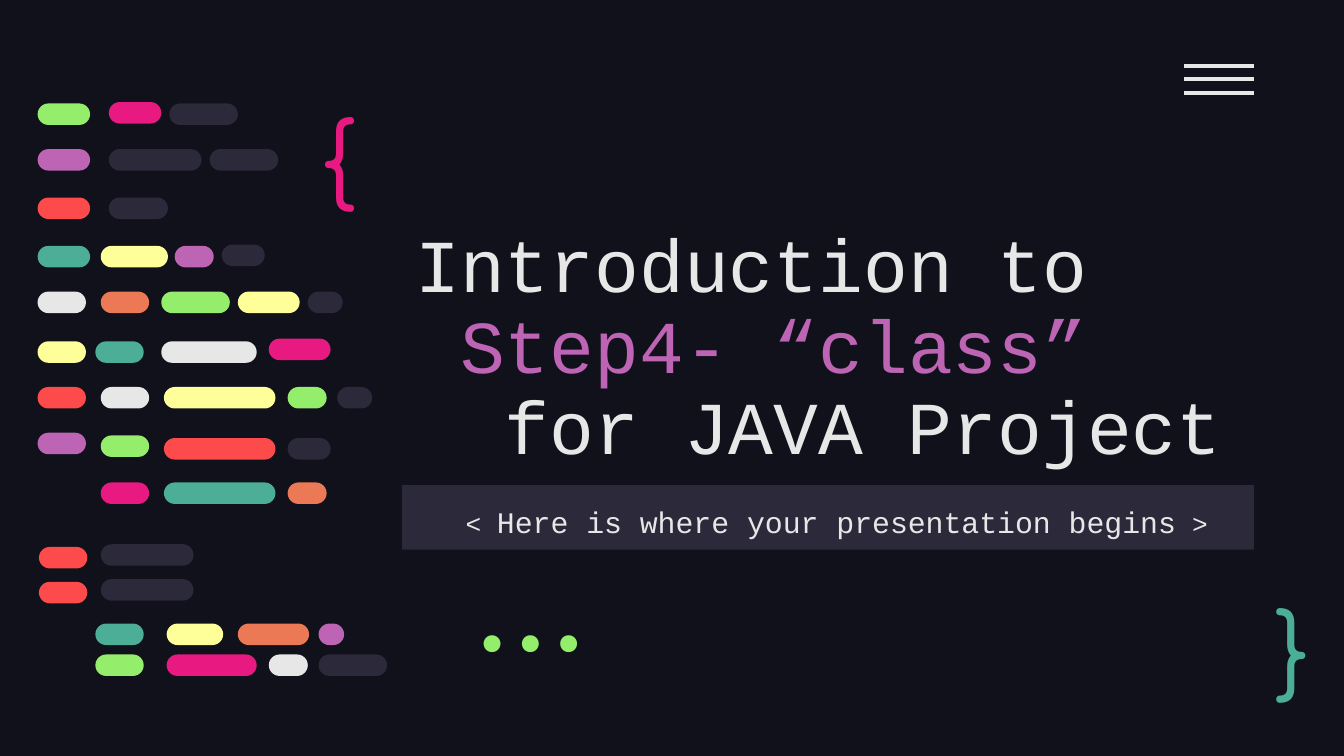
from lxml.etree import SubElement
from pptx import Presentation
from pptx.dml.color import RGBColor
from pptx.enum.shapes import MSO_CONNECTOR, MSO_SHAPE
from pptx.enum.text import MSO_ANCHOR, MSO_AUTO_SIZE, PP_ALIGN
from pptx.oxml.ns import qn
from pptx.util import Inches, Pt

BACKGROUND, SLATE, LIGHT = "10111A", "2C293A", "E7E7E7"
GREEN, PINK, PURPLE, RED = "94EE6B", "E81A81", "BD64B5", "FD4A4A"
TEAL, YELLOW, ORANGE = "4CAE97", "FFFF99", "EC7955"
MONO = "Courier New"
PILL_HEIGHT = 0.16

CODE_PILLS = [
    (0, 0.01, 0.39, GREEN), (0.53, 0, 0.39, PINK), (0.98, 0.01, 0.51, SLATE),
    (0, 0.35, 0.39, PURPLE), (0.53, 0.35, 0.69, SLATE), (1.28, 0.35, 0.51, SLATE),
    (0, 0.71, 0.39, RED), (0.53, 0.71, 0.44, SLATE),
    (0, 1.07, 0.39, TEAL), (0.47, 1.07, 0.5, YELLOW), (1.02, 1.07, 0.29, PURPLE),
    (1.37, 1.06, 0.32, SLATE),
    (0, 1.41, 0.36, LIGHT), (0.47, 1.41, 0.36, ORANGE), (0.92, 1.41, 0.51, GREEN),
    (1.49, 1.41, 0.46, YELLOW), (2.01, 1.41, 0.26, SLATE),
    (0, 1.78, 0.36, YELLOW), (0.43, 1.78, 0.36, TEAL), (0.92, 1.78, 0.71, LIGHT),
    (1.72, 1.76, 0.46, PINK),
    (0, 2.12, 0.36, RED), (0.47, 2.12, 0.36, LIGHT), (0.94, 2.12, 0.83, YELLOW),
    (1.86, 2.12, 0.29, GREEN), (2.23, 2.12, 0.26, SLATE),
    (0, 2.46, 0.36, PURPLE), (0.47, 2.48, 0.36, GREEN), (0.94, 2.5, 0.83, RED),
    (1.86, 2.5, 0.32, SLATE),
    (0.47, 2.83, 0.36, PINK), (0.94, 2.83, 0.83, TEAL), (1.86, 2.83, 0.29, ORANGE),
    (0.01, 3.31, 0.36, RED), (0.47, 3.29, 0.69, SLATE),
    (0.01, 3.57, 0.36, RED), (0.47, 3.55, 0.69, SLATE),
    (0.43, 3.88, 0.36, TEAL), (0.96, 3.88, 0.42, YELLOW), (1.49, 3.88, 0.53, ORANGE),
    (2.09, 3.88, 0.19, PURPLE),
    (0.43, 4.11, 0.36, GREEN), (0.96, 4.11, 0.67, PINK), (1.72, 4.11, 0.29, LIGHT),
    (2.09, 4.11, 0.51, SLATE),
]


def color(value):
    """Turn a hex string into a colour."""
    return RGBColor.from_string(value)


def place(shape, left, top, width, height):
    """Move and size a shape, in inches."""
    shape.left, shape.top = Inches(left), Inches(top)
    shape.width, shape.height = Inches(width), Inches(height)


def set_frame(frame, anchor, left=0.1, bottom=0.1):
    """Set wrapping, anchor and insets of a text frame."""
    frame.word_wrap = True
    frame.auto_size = MSO_AUTO_SIZE.NONE
    frame.vertical_anchor = anchor
    frame.margin_left, frame.margin_bottom = Inches(left), Inches(bottom)
    frame.margin_right = frame.margin_top = Inches(0.1)


def add_run(paragraph, text, size, font, fill):
    """Append a formatted run to a paragraph."""
    run = paragraph.add_run()
    run.text = text
    run.font.size, run.font.name = Pt(size), font
    run.font.color.rgb = color(fill)


def fill_title(title, left, top, width, height):
    """Place the title and write its three stepped lines."""
    place(title, left, top, width, height)
    frame = title.text_frame
    set_frame(frame, MSO_ANCHOR.BOTTOM, bottom=0.71)
    lines = [("Introduction to", LIGHT), ("Step4- “class”", PURPLE),
             ("for JAVA Project", LIGHT)]
    for step, (text, fill) in enumerate(lines):
        paragraph = frame.add_paragraph() if step else frame.paragraphs[0]
        paragraph.alignment = PP_ALIGN.LEFT
        paragraph.line_spacing = 0.9
        paragraph.space_before = Pt(0)
        properties = paragraph._p.get_or_add_pPr()
        properties.set("marL", str(Pt(24 * step)))
        properties.set("indent", "0")
        add_run(paragraph, text, 40, MONO, fill)


def fill_subtitle(subtitle, left, top, width, height):
    """Place the subtitle bar and write its bracketed line."""
    place(subtitle, left, top, width, height)
    subtitle.fill.solid()
    subtitle.fill.fore_color.rgb = color(SLATE)
    set_frame(subtitle.text_frame, MSO_ANCHOR.TOP, left=0.23)
    paragraph = subtitle.text_frame.paragraphs[0]
    paragraph.alignment = PP_ALIGN.CENTER
    paragraph.line_spacing = 1.15
    paragraph.space_before = Pt(0)
    add_run(paragraph, "< ", 14, MONO, LIGHT)
    add_run(paragraph, "Here is where your presentation begins", 16, MONO, LIGHT)
    add_run(paragraph, " >", 14, MONO, LIGHT)


def add_symbol(slide, box, text, font, fill, anchor, alignment=PP_ALIGN.LEFT):
    """Add one large code symbol in a text box."""
    textbox = slide.shapes.add_textbox(*map(Inches, box))
    set_frame(textbox.text_frame, anchor)
    paragraph = textbox.text_frame.paragraphs[0]
    paragraph.alignment = alignment
    add_run(paragraph, text, 50, font, fill)


def add_menu(slide, left, top, width, height):
    """Add the three evenly spaced menu lines as a group."""
    group = slide.shapes.add_group_shape()
    for index in range(3):
        y = Inches(top + index * height / 2)
        line = group.shapes.add_connector(
            MSO_CONNECTOR.STRAIGHT, Inches(left), y, Inches(left + width), y)
        line.line.color.rgb = color(LIGHT)
        line.line.width = Pt(2.25)
        SubElement(line._element.spPr, qn("a:effectLst"))


def add_code(slide, left, top):
    """Add the coloured pills that stand for lines of code."""
    group = slide.shapes.add_group_shape()
    for x, y, width, fill in CODE_PILLS:
        pill = group.shapes.add_shape(
            MSO_SHAPE.ROUNDED_RECTANGLE, Inches(left + x), Inches(top + y),
            Inches(width), Inches(PILL_HEIGHT))
        pill.adjustments[0] = 0.5
        pill.shadow.inherit = False
        pill.fill.solid()
        pill.fill.fore_color.rgb = color(fill)
        pill.line.fill.background()


def main():
    """Build and save the opening slide."""
    presentation = Presentation()
    presentation.slide_width = Inches(10)
    presentation.slide_height = Inches(10 * 9 / 16)
    slide = presentation.slides.add_slide(presentation.slide_layouts[0])
    slide.background.fill.solid()
    slide.background.fill.fore_color.rgb = color(BACKGROUND)
    fill_title(slide.shapes.title, 2.99, 1.38, 6.34, 2.83)
    fill_subtitle(slide.placeholders[1], 2.99, 3.61, 6.34, 0.48)
    add_symbol(slide, (2.29, 0.62, 0.77, 0.95), "{", "Comfortaa", PINK, MSO_ANCHOR.TOP)
    add_symbol(slide, (9.39, 4.38, 0.57, 0.83), "}", "Comfortaa", TEAL, MSO_ANCHOR.MIDDLE)
    add_symbol(slide, (3.11, 4.49, 1.58, 0.6), "...", "Fira Code", GREEN,
               MSO_ANCHOR.BOTTOM, PP_ALIGN.RIGHT)
    add_menu(slide, 8.81, 0.49, 0.52, 0.2)
    add_code(slide, 0.28, 0.76)
    presentation.save("out.pptx")


if __name__ == "__main__":
    main()
